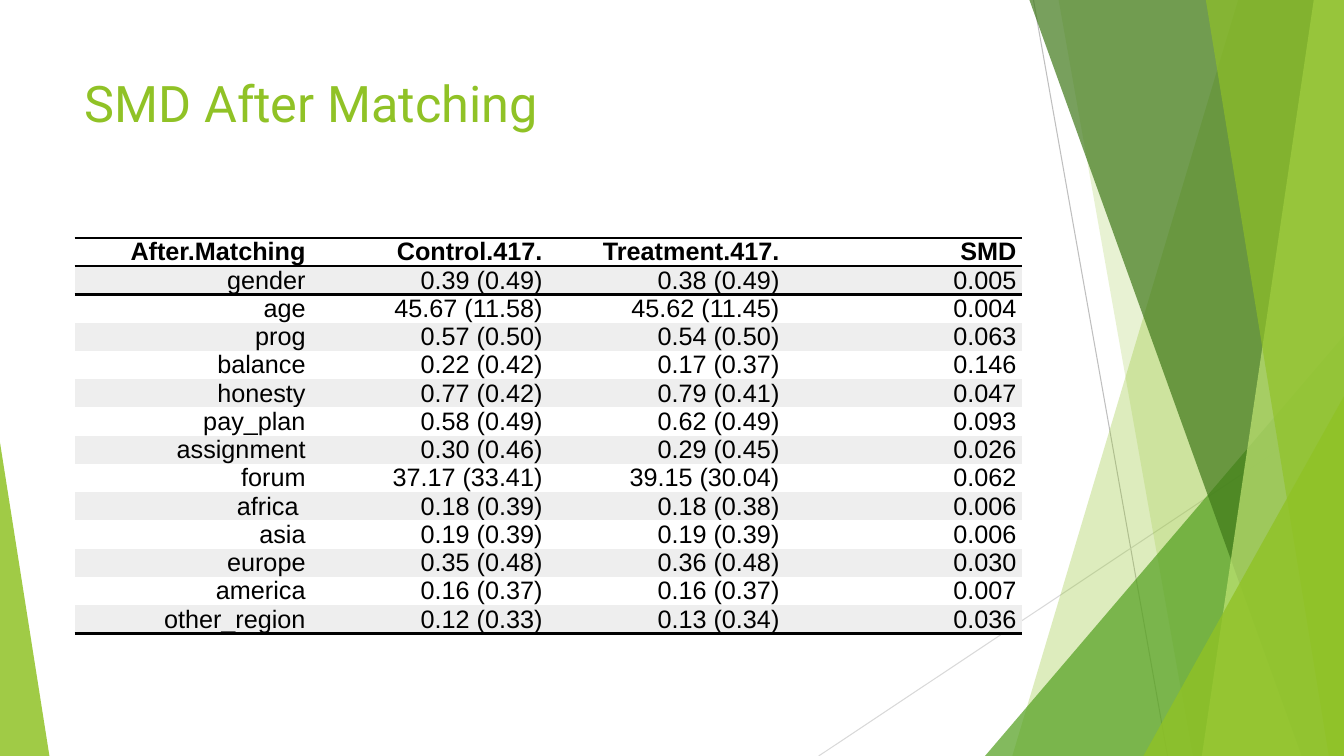
from dataclasses import dataclass

from lxml.etree import SubElement
from pptx import Presentation
from pptx.dml.color import RGBColor
from pptx.dml.fill import FillFormat
from pptx.enum.shapes import MSO_CONNECTOR, MSO_SHAPE
from pptx.enum.text import MSO_ANCHOR, MSO_AUTO_SIZE, PP_ALIGN
from pptx.oxml import parse_xml
from pptx.oxml.ns import nsdecls, qn
from pptx.shapes.autoshape import Shape
from pptx.slide import Slide
from pptx.table import _Cell as Cell
from pptx.text.text import TextFrame
from pptx.util import Inches, Pt

WIDTH, HEIGHT = 13.33, 7.5
GREEN, BLACK = "90C226", "000000"
STRIPES = ("FFFFFF", "EEEEEE")
NO_STYLE_NO_GRID = "{2D5ABB26-0587-4C30-8999-92F81FD0307C}"
TABLE_LEFT, TABLE_TOP, TABLE_WIDTH, ROW_HEIGHT = 0.74, 2.36, 9.4, 0.28


@dataclass
class Line:
    start: tuple[float, float]
    end: tuple[float, float]
    color: str


@dataclass
class Band:
    """A full-height band reaching the right edge of the slide."""
    top_left: float
    bottom_left: float
    color: str
    opacity: int


@dataclass
class Corner:
    """A right triangle in a bottom corner of the slide."""
    left: float
    top: float
    width: float
    apex: float
    color: str
    opacity: int


LINES = [
    Line((10.25, 0), (11.58, HEIGHT), "BFBFBF"),
    Line((WIDTH, 4.03), (8.12, HEIGHT), "D9D9D9"),
]
FACETS = [
    Band(12.28, 10.04, GREEN, 30),
    Band(10.5, 11.83, GREEN, 20),
    Corner(9.77, 3.33, 3.56, 1, "54A021", 72),
    Band(10.21, 12.91, "3F7819", 70),
    Band(13.03, 11.92, "C0E474", 70),
    Band(11.96, 13.18, GREEN, 65),
    Corner(11.34, 3.93, 1.99, 1, GREEN, 80),
    Corner(0, 4.39, 0.49, 0, GREEN, 85),
]
ROWS = [
    ("After.Matching", "Control.417.", "Treatment.417.", "SMD"),
    ("gender", "0.39 (0.49)", "0.38 (0.49)", "0.005"),
    ("age", "45.67 (11.58)", "45.62 (11.45)", "0.004"),
    ("prog", "0.57 (0.50)", "0.54 (0.50)", "0.063"),
    ("balance", "0.22 (0.42)", "0.17 (0.37)", "0.146"),
    ("honesty", "0.77 (0.42)", "0.79 (0.41)", "0.047"),
    ("pay_plan", "0.58 (0.49)", "0.62 (0.49)", "0.093"),
    ("assignment", "0.30 (0.46)", "0.29 (0.45)", "0.026"),
    ("forum", "37.17 (33.41)", "39.15 (30.04)", "0.062"),
    ("africa ", "0.18 (0.39)", "0.18 (0.38)", "0.006"),
    ("asia", "0.19 (0.39)", "0.19 (0.39)", "0.006"),
    ("europe", "0.35 (0.48)", "0.36 (0.48)", "0.030"),
    ("america", "0.16 (0.37)", "0.16 (0.37)", "0.007"),
    ("other_region", "0.12 (0.33)", "0.13 (0.34)", "0.036"),
]


def set_fill(fill: FillFormat, color: str, opacity: int = 100) -> None:
    fill.solid()
    fill.fore_color.rgb = RGBColor.from_string(color)
    if opacity < 100:
        color_element = fill._xPr.find(f"{qn('a:solidFill')}/{qn('a:srgbClr')}")
        SubElement(color_element, qn("a:alpha"), val=str(opacity * 1000))


def write_text(frame: TextFrame, text: str, *, font: str, size: float, color: str,
               bold: bool = False, align: PP_ALIGN = PP_ALIGN.LEFT,
               spacing: float = 0) -> None:
    paragraph = frame.paragraphs[0]
    paragraph.alignment = align
    paragraph.space_before = paragraph.space_after = Pt(spacing)
    run = paragraph.add_run()
    run.text = text
    run.font.name, run.font.size, run.font.bold = font, Pt(size), bold
    set_fill(run.font.fill, color)


def add_line(slide: Slide, line: Line) -> None:
    connector = slide.shapes.add_connector(
        MSO_CONNECTOR.STRAIGHT, *map(Inches, line.start + line.end))
    set_fill(connector.line.fill, line.color)
    connector.line.width = Pt(0.75)
    SubElement(connector.element.spPr, qn("a:effectLst"))


def draw_band(slide: Slide, band: Band) -> Shape:
    corners = [(WIDTH, 0), (WIDTH, HEIGHT), (band.bottom_left, HEIGHT)]
    builder = slide.shapes.build_freeform(Inches(band.top_left), 0)
    builder.add_line_segments([(Inches(x), Inches(y)) for x, y in corners])
    return builder.convert_to_shape()


def draw_corner(slide: Slide, corner: Corner) -> Shape:
    shape = slide.shapes.add_shape(
        MSO_SHAPE.ISOSCELES_TRIANGLE, Inches(corner.left), Inches(corner.top),
        Inches(corner.width), Inches(HEIGHT - corner.top))
    shape.adjustments[0] = corner.apex
    return shape


def add_facet(slide: Slide, facet: Band | Corner) -> None:
    draw = draw_band if isinstance(facet, Band) else draw_corner
    shape = draw(slide, facet)
    set_fill(shape.fill, facet.color, facet.opacity)
    shape.line.fill.background()
    shape.shadow.inherit = False


def add_title(slide: Slide, text: str) -> None:
    title = slide.shapes.title
    title.left, title.top = Inches(0.74), Inches(0.67)
    title.width, title.height = Inches(9.4), Inches(1.44)
    frame = title.text_frame
    frame.vertical_anchor = MSO_ANCHOR.TOP
    frame.auto_size = MSO_AUTO_SIZE.NONE
    frame.word_wrap = True
    write_text(frame, text, font="Roboto", size=36, color=GREEN)
    # Bring the title in front of the facets.
    title.element.getparent().append(title.element)


def add_border(cell: Cell, side: str) -> None:
    """Rule the cell's top ("T") or bottom ("B") side."""
    border = parse_xml(
        f'<a:ln{side} {nsdecls("a")} w="{Pt(2)}"><a:solidFill>'
        f'<a:srgbClr val="{BLACK}"/></a:solidFill></a:ln{side}>')
    cell._tc.get_or_add_tcPr().insert(0, border)


def add_table(slide: Slide, rows: list[tuple[str, ...]]) -> None:
    graphic_frame = slide.shapes.add_table(
        len(rows), len(rows[0]), Inches(TABLE_LEFT), Inches(TABLE_TOP),
        Inches(TABLE_WIDTH), Inches(ROW_HEIGHT * len(rows)))
    table = graphic_frame.table
    table.first_row = table.horz_banding = False
    next(graphic_frame.element.iter(qn("a:tableStyleId"))).text = NO_STYLE_NO_GRID
    for row, texts in enumerate(rows):
        for column, text in enumerate(texts):
            cell = table.cell(row, column)
            cell.margin_left = cell.margin_right = Inches(0.06)
            cell.margin_top = cell.margin_bottom = 0
            cell.vertical_anchor = MSO_ANCHOR.MIDDLE
            write_text(cell.text_frame, text, font="Arial", size=18, color=BLACK,
                       bold=row == 0, align=PP_ALIGN.RIGHT, spacing=1)
            if row == 0:
                cell.fill.background()
            else:
                set_fill(cell.fill, STRIPES[row % 2])
            if row in (0, len(rows) - 1):
                add_border(cell, "B")
            if row in (0, 1):
                add_border(cell, "T")


def main() -> None:
    presentation = Presentation()
    presentation.slide_width, presentation.slide_height = Inches(WIDTH), Inches(HEIGHT)
    title_only = presentation.slide_layouts[5]
    slide = presentation.slides.add_slide(title_only)
    for line in LINES:
        add_line(slide, line)
    for facet in FACETS:
        add_facet(slide, facet)
    add_title(slide, "SMD After Matching")
    add_table(slide, ROWS)
    presentation.save("out.pptx")


if __name__ == "__main__":
    main()
